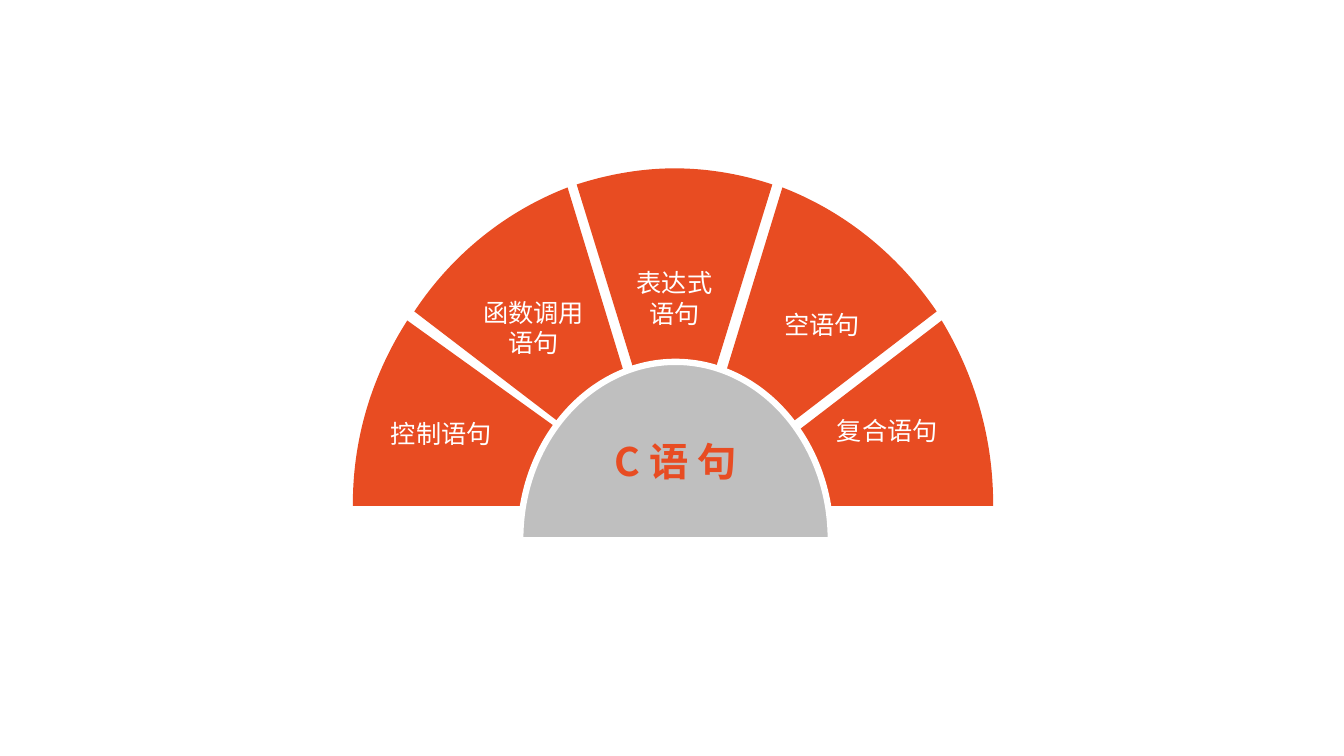
from lxml.etree import SubElement
from pptx import Presentation
from pptx.dml.color import RGBColor
from pptx.enum.text import MSO_ANCHOR, MSO_AUTO_SIZE, PP_ALIGN
from pptx.oxml.ns import qn
from pptx.util import Inches, Pt

FONT = "Noto Sans CJK SC"
COLORS = {"wedge": "E84C22", "dome": "BFBFBF", "white": "FFFFFF"}

WEDGES = [
    {"text": "表达式\n语句", "pad": (0.1, 0.05, 0.1, 0.79), "tip": [(6.69, 4.98)],
     "arc": [(7.66, 1.83), (7.36, 1.73), (7.03, 1.67), (6.69, 1.67),
             (6.36, 1.67), (6.03, 1.73), (5.72, 1.83)]},
    {"text": "空语句", "pad": (0.31, 0.05, 0.1, 0.47), "tip": [(6.8, 5)],
     "arc": [(9.29, 3.09), (8.91, 2.53), (8.38, 2.1), (7.76, 1.86)]},
    {"text": "函数调用\n语句", "pad": (0.1, 0.05, 0.2, 0.39), "tip": [(6.58, 4.98)],
     "arc": [(5.63, 1.86), (5.01, 2.1), (4.48, 2.53), (4.11, 3.09)]},
    {"text": "复合语句", "pad": (0.91, 0.39, 0.1, 0.05), "tip": [(6.94, 5.02), (9.85, 5.02)],
     "arc": [(9.85, 5), (9.85, 4.33), (9.66, 3.71), (9.34, 3.18)]},
    {"text": "", "pad": (0.1, 0.05, 0.1, 0.05), "tip": [(6.6, 5.02), (3.5, 5.02)],
     "arc": [(3.5, 5), (3.5, 4.33), (3.7, 3.71), (4.04, 3.18)]},
]
DOME = {"text": "C 语 句", "pad": (0, 0.2, 0, 0), "tip": [(5.16, 5.36), (8.24, 5.36)],
        "arc": [(8.24, 5.35), (8.24, 4.38), (7.55, 3.59), (6.7, 3.59),
                (5.85, 3.59), (5.16, 4.38), (5.16, 5.35)]}
LABEL = {"text": "控制语句", "box": (3.78, 4.1, 1.6, 0.56)}


def rgb(name):
    return RGBColor.from_string(COLORS[name])


def bend(shape, count):
    lines = list(shape._element.iter(qn("a:lnTo")))[:count]
    for i in range(0, count, 3):
        curve = SubElement(lines[i].getparent(), qn("a:cubicBezTo"))
        lines[i].addprevious(curve)
        for line in lines[i:i + 3]:
            curve.append(line[0])
            line.getparent().remove(line)


def write(frame, text, size, color, bold=False, align=PP_ALIGN.CENTER):
    frame.word_wrap = True
    frame.text = text
    for line in frame.paragraphs:
        line.alignment = align
        for run in line.runs:
            run.font.size = Pt(size)
            run.font.bold = bold
            run.font.color.rgb = rgb(color)
            run.font.name = FONT
            SubElement(run._r.get_or_add_rPr(), qn("a:ea")).set("typeface", FONT)


def draw(shapes, part, fill):
    points = [(Inches(x), Inches(y)) for x, y in part["arc"] + part["tip"]]
    pen = shapes.build_freeform(*points[0])
    pen.add_line_segments(points[1:], close=True)
    shape = pen.convert_to_shape()
    bend(shape, len(part["arc"]) - 1)
    shape.shadow.inherit = False
    shape.fill.solid()
    shape.fill.fore_color.rgb = rgb(fill)
    shape.line.fill.background()
    frame = shape.text_frame
    frame.vertical_anchor = MSO_ANCHOR.MIDDLE
    (frame.margin_left, frame.margin_top,
     frame.margin_right, frame.margin_bottom) = map(Inches, part["pad"])
    return shape


def main():
    deck = Presentation()
    deck.slide_width, deck.slide_height = Inches(13.33), Inches(7.5)
    shapes = deck.slides.add_slide(deck.slide_layouts[6]).shapes

    for part in WEDGES:
        wedge = draw(shapes, part, "wedge")
        if part["text"]:
            write(wedge.text_frame, part["text"], 18, "white")

    dome = draw(shapes, DOME, "dome")
    dome.line.color.rgb = rgb("white")
    dome.line.width = Pt(4.5)
    write(dome.text_frame, DOME["text"], 28, "wedge", bold=True)

    label = shapes.add_textbox(*map(Inches, LABEL["box"])).text_frame
    write(label, LABEL["text"], 18, "white", align=PP_ALIGN.LEFT)
    label.auto_size = MSO_AUTO_SIZE.SHAPE_TO_FIT_TEXT
    deck.save("out.pptx")


if __name__ == "__main__":
    main()
